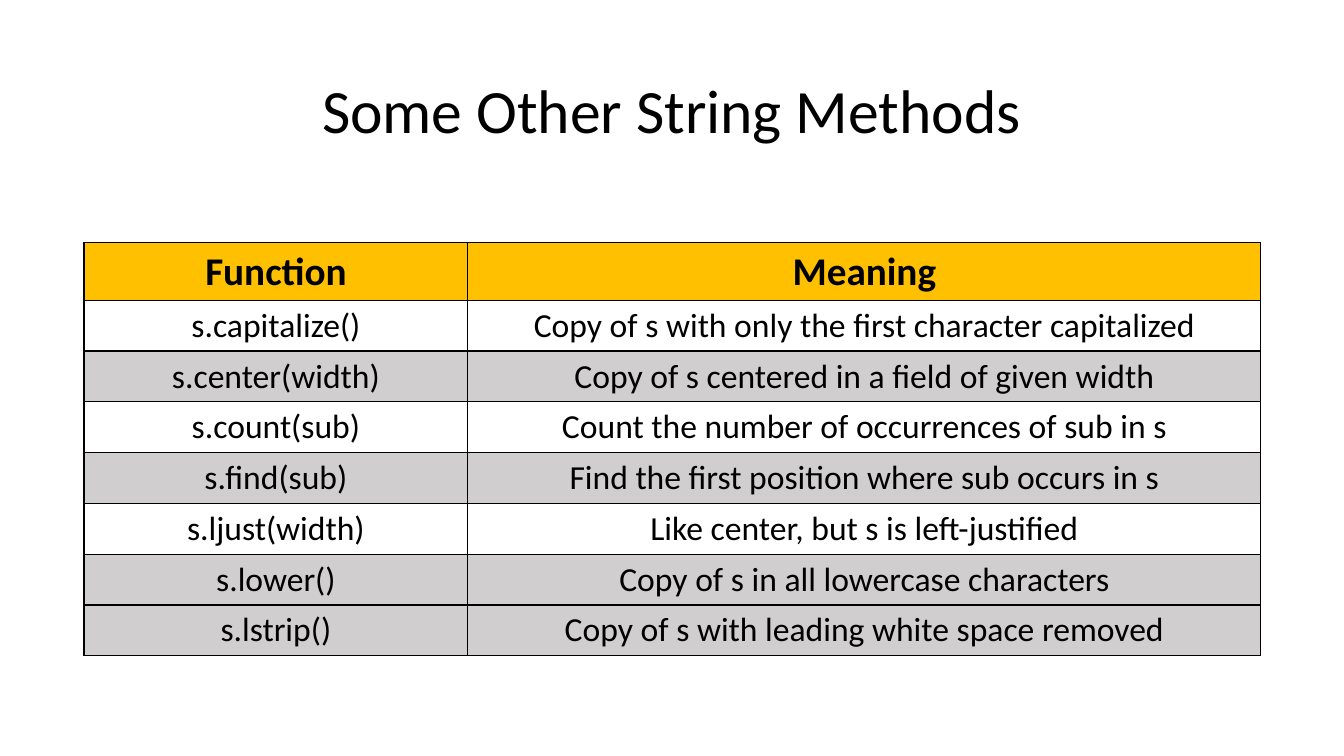
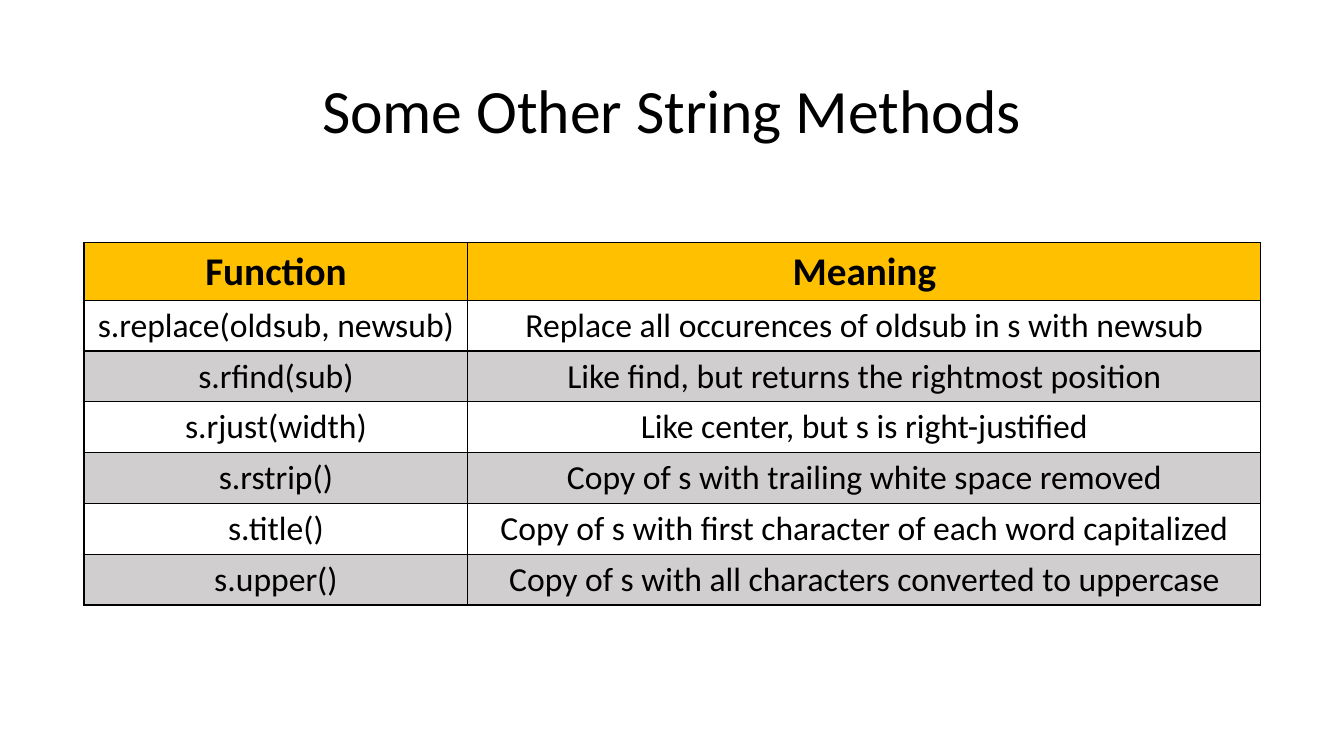
"""Builds two slides that list string methods in tables."""
from dataclasses import dataclass

from lxml.etree import SubElement
from pptx import Presentation
from pptx.dml.color import RGBColor
from pptx.enum.text import MSO_ANCHOR as Anchor, PP_ALIGN as Align
from pptx.oxml.ns import qn
from pptx.slide import Slide
from pptx.table import _Cell as Cell
from pptx.util import Inches, Pt

SLIDE_W, SLIDE_H = Inches(13.33), Inches(7.5)
GRID_COLS, GRID_ROWS = 16, 18
FONT = "Calibri"
BLACK, WHITE, GOLD, GREY = "000000", "FFFFFF", "FFC000", "D0CECE"
TITLE = "Some Other String Methods"
HEADER = ("Function", "Meaning")
COL_WIDTHS = (4.57, 9.44)


@dataclass(frozen=True)
class Method:
    call: str
    meaning: str


@dataclass(frozen=True)
class RowStyle:
    height: float
    size: int
    bold: bool


HEAD_STYLE = RowStyle(1.37, 28, True)
BODY_STYLE = RowStyle(1.21, 24, False)

PAGES = (
    (
        Method("s.capitalize()", "Copy of s with only the first character capitalized"),
        Method("s.center(width)", "Copy of s centered in a field of given width"),
        Method("s.count(sub)", "Count the number of occurrences of sub in s"),
        Method("s.find(sub)", "Find the first position where sub occurs in s"),
        Method("s.ljust(width)", "Like center, but s is left-justified"),
        Method("s.lower()", "Copy of s in all lowercase characters"),
        Method("s.lstrip()", "Copy of s with leading white space removed"),
    ),
    (
        Method("s.replace(oldsub, newsub)", "Replace all occurences of oldsub in s with newsub"),
        Method("s.rfind(sub)", "Like find, but returns the rightmost position"),
        Method("s.rjust(width)", "Like center, but s is right-justified"),
        Method("s.rstrip()", "Copy of s with trailing white space removed"),
        Method("s.title()", "Copy of s with first character of each word capitalized"),
        Method("s.upper()", "Copy of s with all characters converted to uppercase"),
    ),
)


def color(value: str) -> RGBColor:
    return RGBColor.from_string(value)


def cols(n: float) -> int:
    return round(SLIDE_W * n / GRID_COLS)


def rows(n: float) -> int:
    return round(SLIDE_H * n / GRID_ROWS)


def write(tf, text: str, size: int, bold: bool = False):
    p = tf.paragraphs[0]
    p.text = text
    p.alignment = Align.CENTER
    p.font.name, p.font.size, p.font.bold = FONT, Pt(size), bold
    p.font.color.rgb = color(BLACK)
    return p


def add_title(s: Slide) -> None:
    tf = s.shapes.add_textbox(cols(1.1), rows(0.96), cols(13.8), rows(3.48)).text_frame
    tf.word_wrap = True
    tf.vertical_anchor = Anchor.MIDDLE
    write(tf, TITLE, 44).line_spacing = 0.9


def add_borders(cell: Cell) -> None:
    tc_pr = cell._tc.get_or_add_tcPr()
    for side in ("lnL", "lnR", "lnT", "lnB"):
        ln = SubElement(tc_pr, qn(f"a:{side}"), w=str(Pt(1)))
        SubElement(SubElement(ln, qn("a:solidFill")), qn("a:srgbClr"), val=BLACK)


def fill_row(cells, texts: tuple[str, str], style: RowStyle, fill: str) -> None:
    for cell, text in zip(cells, texts):
        add_borders(cell)
        cell.fill.solid()
        cell.fill.fore_color.rgb = color(fill)
        write(cell.text_frame, text, style.size, style.bold)


def add_methods(s: Slide, methods: tuple[Method, ...]) -> None:
    count = len(methods)
    height = HEAD_STYLE.height + count * BODY_STYLE.height
    table = s.shapes.add_table(count + 1, len(HEADER), cols(1), rows(5.78),
                               cols(sum(COL_WIDTHS)), rows(height)).table
    for column, width in zip(table.columns, COL_WIDTHS):
        column.width = cols(width)
    lines = [(HEADER, HEAD_STYLE, GOLD)]
    for n, m in enumerate(methods, 1):
        fill = GREY if n % 2 == 0 or n == count else WHITE
        lines.append(((m.call, m.meaning), BODY_STYLE, fill))
    for row, (texts, style, fill) in zip(table.rows, lines):
        row.height = rows(style.height)
        fill_row(row.cells, texts, style, fill)


def main() -> None:
    prs = Presentation()
    prs.slide_width, prs.slide_height = SLIDE_W, SLIDE_H
    for methods in PAGES:
        s = prs.slides.add_slide(prs.slide_layouts[6])
        add_title(s)
        add_methods(s, methods)
    prs.save("out.pptx")


if __name__ == "__main__":
    main()
